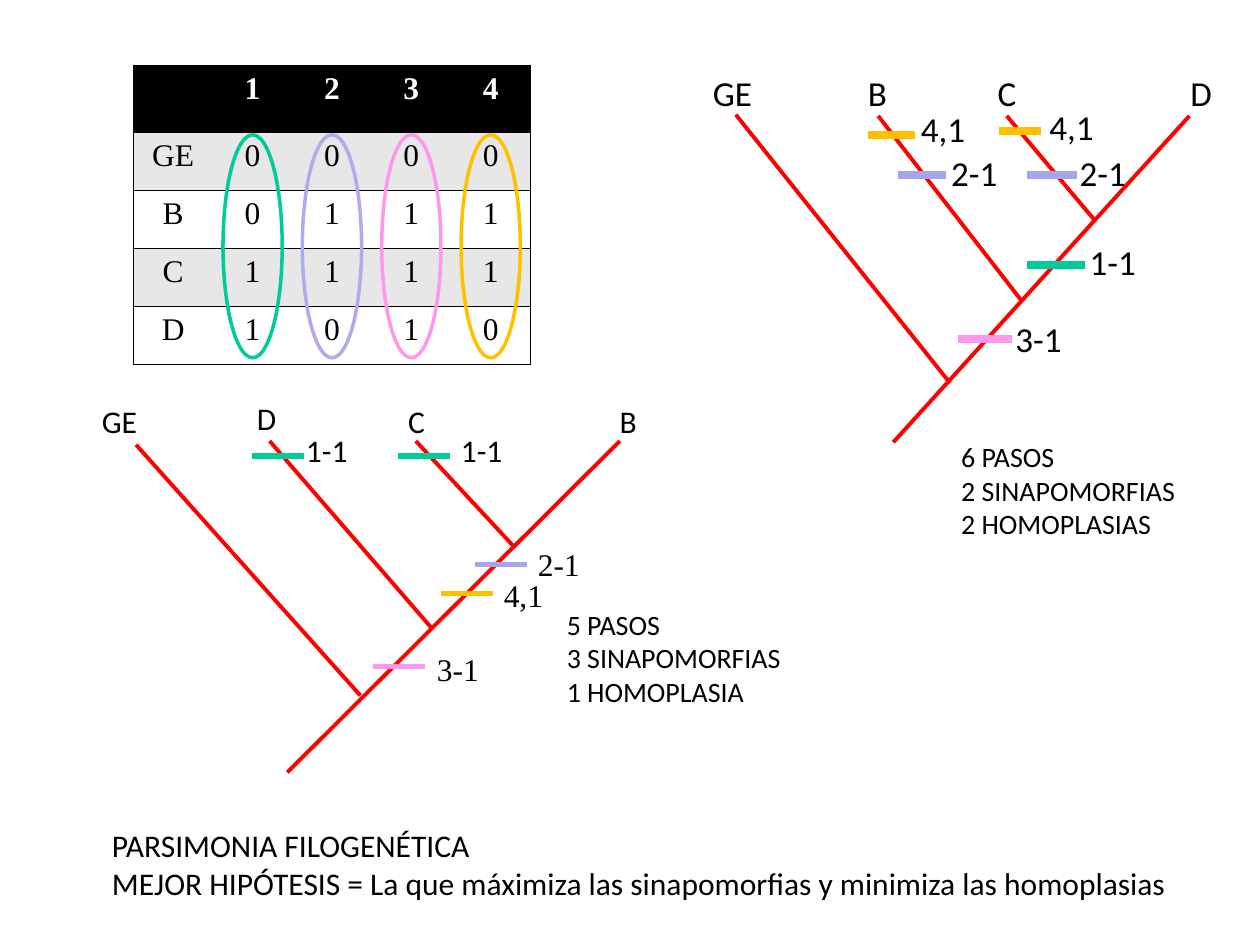
from typing import NamedTuple

from lxml import etree
from pptx import Presentation
from pptx import util as u
from pptx.dml.color import RGBColor
from pptx.enum import shapes, text
from pptx.oxml import ns

COLORS = {
    "black": "000000", "white": "FFFFFF", "band": "E7E7E7", "branch": "FF0000",
    "green": "00CC99", "lilac": "A5A5E9", "pale_lilac": "ADADEB",
    "pink": "FF98EC", "amber": "FFC000",
}
SANS, SERIF = "Calibri", "Times New Roman"
LABEL_SLACK = 0.03  # keeps a tight label on one line


class Branch(NamedTuple):
    x1: float
    y1: float
    x2: float
    y2: float


class Mark(NamedTuple):
    """A horizontal tick for a change of character state."""
    left: float
    y: float
    width: float
    color: str


class Label(NamedTuple):
    left: float
    top: float
    width: float
    lines: tuple[str, ...]
    size: int
    font: str = SANS


class Tree(NamedTuple):
    branches: list[Branch]
    marks: list[Mark]
    mark_weight: float
    labels: list[Label]


RIGHT_TREE = Tree(
    branches=[
        Branch(9.44, 0.92, 7.09, 3.51),
        Branch(7.54, 3.04, 5.84, 0.91),
        Branch(8.11, 2.39, 6.97, 0.92),
        Branch(8.69, 1.75, 7.99, 0.92),
    ],
    marks=[
        Mark(8.15, 2.1, 0.46, "green"),
        Mark(7.13, 1.39, 0.38, "lilac"),
        Mark(6.89, 1.07, 0.37, "amber"),
        Mark(7.6, 2.69, 0.43, "pink"),
        Mark(7.93, 1.04, 0.33, "amber"),
        Mark(8.15, 1.39, 0.4, "lilac"),
    ],
    mark_weight=4.5,
    labels=[
        Label(5.56, 0.52, 0.51, ("GE",), 20),
        Label(6.79, 0.52, 0.35, ("B",), 20),
        Label(7.82, 0.52, 0.35, ("C",), 20),
        Label(9.35, 0.52, 0.37, ("D",), 20),
        Label(7.21, 0.8, 0.55, ("4,1",), 20),
        Label(8.23, 0.79, 0.55, ("4,1",), 20),
        Label(7.45, 1.15, 0.56, ("2-1",), 20),
        Label(8.47, 1.15, 0.56, ("2-1",), 20),
        Label(8.55, 1.86, 0.56, ("1-1",), 20),
        Label(7.96, 2.47, 0.56, ("3-1",), 20),
        Label(7.53, 3.44, 1.89, ("6 PASOS", "2 SINAPOMORFIAS", "2 HOMOPLASIAS"), 16),
    ],
)
LEFT_TREE = Tree(
    branches=[
        Branch(4.92, 3.5, 2.28, 6.13),
        Branch(2.86, 5.52, 1.08, 3.53),
        Branch(3.43, 4.99, 2.14, 3.5),
        Branch(4.08, 4.34, 3.3, 3.5),
    ],
    marks=[
        Mark(left, y, 0.41, color) for left, y, color in [
            (3.16, 3.62, "green"), (2.0, 3.62, "green"), (3.77, 4.48, "lilac"),
            (3.5, 4.71, "amber"), (2.96, 5.29, "pink"),
        ]
    ],
    mark_weight=3,
    labels=[
        Label(0.71, 3.14, 0.48, ("GE",), 18),
        Label(1.94, 3.12, 0.35, ("D",), 18),
        Label(3.14, 3.14, 0.33, ("C",), 18),
        Label(4.82, 3.14, 0.33, ("B",), 18),
        Label(2.33, 3.37, 0.53, ("1-1",), 18),
        Label(3.56, 3.37, 0.53, ("1-1",), 18),
        Label(4.17, 4.28, 0.53, ("2-1",), 18, SERIF),
        Label(3.9, 4.52, 0.51, ("4,1",), 18, SERIF),
        Label(3.37, 5.11, 0.53, ("3-1",), 18, SERIF),
        Label(4.4, 4.77, 1.89, ("5 PASOS", "3 SINAPOMORFIAS", "1 HOMOPLASIA"), 16),
    ],
)
CONCLUSION = Label(0.79, 6.51, 8.58, (
    "PARSIMONIA FILOGENÉTICA",
    "MEJOR HIPÓTESIS = La que máximiza las sinapomorfias y minimiza las homoplasias",
), 18)

MATRIX = [
    ["", "1", "2", "3", "4"],
    ["GE", "0", "0", "0", "0"],
    ["B", "0", "1", "1", "1"],
    ["C", "1", "1", "1", "1"],
    ["D", "1", "0", "1", "0"],
]
MATRIX_LEFT, MATRIX_TOP = 1.06, 0.52
COLUMN_WIDTH, HEADER_HEIGHT, ROW_HEIGHT = 0.63, 0.53, 0.46
RING_COLORS = ["green", "pale_lilac", "pink", "amber"]
RING_WIDTH, RING_HEIGHT = 0.47, 1.77


def rgb(color: str) -> RGBColor:
    return RGBColor.from_string(COLORS[color])


def add_line(slide, x1: float, y1: float, x2: float, y2: float, color: str, weight: float) -> None:
    line = slide.shapes.add_connector(
        shapes.MSO_CONNECTOR.STRAIGHT, u.Inches(x1), u.Inches(y1), u.Inches(x2), u.Inches(y2))
    line.line.color.rgb = rgb(color)
    line.line.width = u.Pt(weight)
    etree.SubElement(line._element.spPr, ns.qn("a:effectLst"))


def add_run(paragraph, words: str, size: int, font: str, color: str = "black", bold: bool = False) -> None:
    run = paragraph.add_run()
    run.text = words
    run.font.size, run.font.name, run.font.bold = u.Pt(size), font, bold
    run.font.color.rgb = rgb(color)


def add_label(slide, label: Label) -> None:
    height = 0.1 + len(label.lines) * label.size / 60
    box = slide.shapes.add_textbox(
        u.Inches(label.left), u.Inches(label.top), u.Inches(label.width + LABEL_SLACK), u.Inches(height))
    frame = box.text_frame
    frame.word_wrap = False
    frame.auto_size = text.MSO_AUTO_SIZE.SHAPE_TO_FIT_TEXT
    for index, words in enumerate(label.lines):
        paragraph = frame.add_paragraph() if index else frame.paragraphs[0]
        add_run(paragraph, words, label.size, label.font)


def add_tree(slide, tree: Tree) -> None:
    for branch in tree.branches:
        add_line(slide, *branch, "branch", 2.25)
    for mark in tree.marks:
        add_line(slide, mark.left, mark.y, mark.left + mark.width, mark.y, mark.color, tree.mark_weight)
    for label in tree.labels:
        add_label(slide, label)


def set_borders(cell, visible: set[str]) -> None:
    """Rule the named sides (L, R, T, B) in black and clear the others."""
    properties = cell._tc.get_or_add_tcPr()
    for index, side in enumerate("LRTB"):
        border = etree.Element(ns.qn(f"a:ln{side}"), w=str(u.Pt(0.45)))
        if side in visible:
            fill = etree.SubElement(border, ns.qn("a:solidFill"))
            etree.SubElement(fill, ns.qn("a:srgbClr"), val=COLORS["black"])
        else:
            etree.SubElement(border, ns.qn("a:noFill"))
        properties.insert(index, border)


def add_matrix(slide) -> None:
    last = len(MATRIX[0]) - 1
    table = slide.shapes.add_table(
        len(MATRIX), last + 1, u.Inches(MATRIX_LEFT), u.Inches(MATRIX_TOP),
        u.Inches(COLUMN_WIDTH * (last + 1)), u.Inches(HEADER_HEIGHT + 4 * ROW_HEIGHT)).table
    table.first_row = table.horz_banding = False
    for column in table.columns:
        column.width = u.Inches(COLUMN_WIDTH)
    for row, values in enumerate(MATRIX):
        header = row == 0
        table.rows[row].height = u.Inches(HEADER_HEIGHT if header else ROW_HEIGHT)
        fill = "black" if header else "band" if row % 2 else "white"
        for column, value in enumerate(values):
            cell = table.cell(row, column)
            cell.fill.solid()
            cell.fill.fore_color.rgb = rgb(fill)
            set_borders(cell, {"T", "B"} | ({"L"} if column == 0 else {"R"} if column == last else set()))
            if value:
                paragraph = cell.text_frame.paragraphs[0]
                paragraph.alignment = text.PP_ALIGN.CENTER
                add_run(paragraph, value, 18, SERIF, "white" if header else "black", header)


def add_rings(slide) -> None:
    for column, color in enumerate(RING_COLORS, start=1):
        left = MATRIX_LEFT + COLUMN_WIDTH * column + (COLUMN_WIDTH - RING_WIDTH) / 2
        ring = slide.shapes.add_shape(
            shapes.MSO_SHAPE.OVAL, u.Inches(left), u.Inches(1.07), u.Inches(RING_WIDTH), u.Inches(RING_HEIGHT))
        ring.shadow.inherit = False
        ring.fill.background()
        ring.line.color.rgb = rgb(color)
        ring.line.width = u.Pt(2)


def main() -> None:
    presentation = Presentation()
    presentation.slide_width, presentation.slide_height = u.Inches(10), u.Inches(7.5)
    slide = presentation.slides.add_slide(presentation.slide_layouts[6])
    add_tree(slide, RIGHT_TREE)
    add_tree(slide, LEFT_TREE)
    add_matrix(slide)
    add_rings(slide)
    add_label(slide, CONCLUSION)
    presentation.save("out.pptx")


if __name__ == "__main__":
    main()
